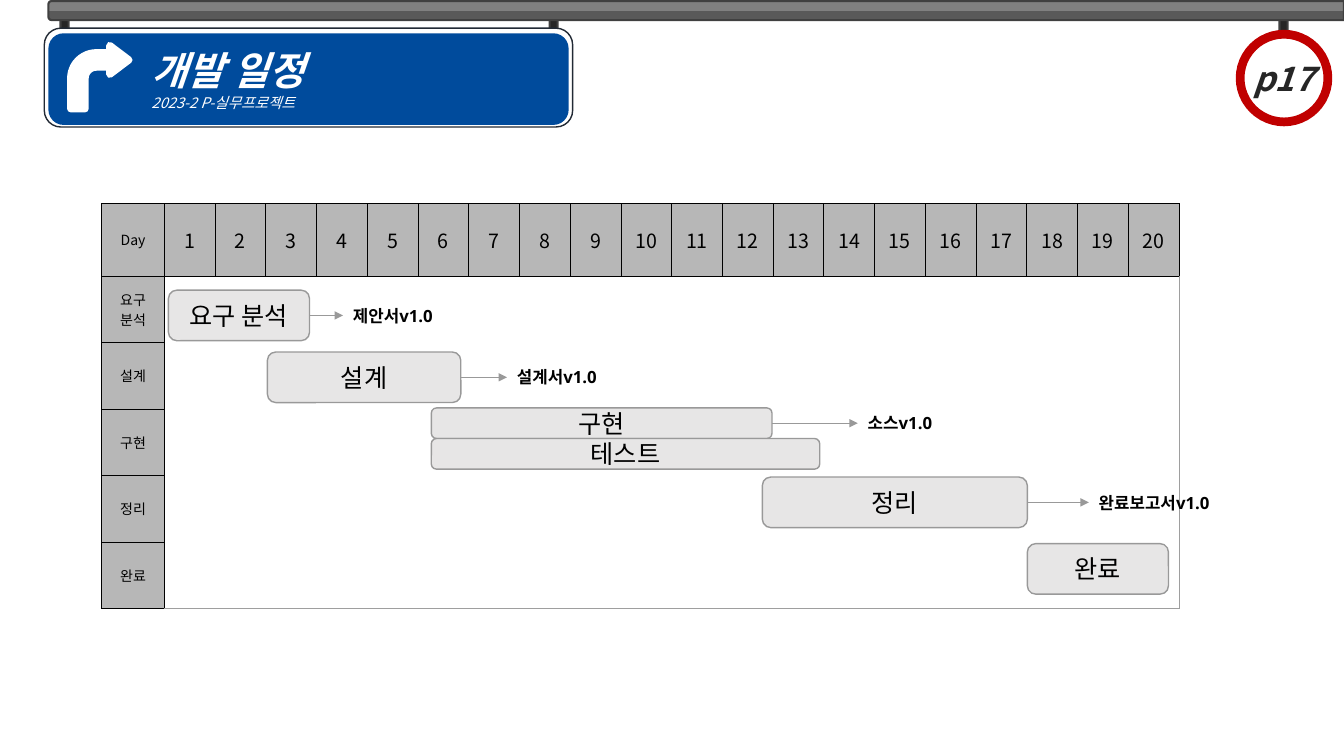
from dataclasses import dataclass

from lxml.etree import SubElement
from pptx import Presentation
from pptx.dml.color import RGBColor
from pptx.enum.shapes import MSO_CONNECTOR, MSO_SHAPE
from pptx.enum.text import MSO_ANCHOR, MSO_AUTO_SIZE, PP_ALIGN
from pptx.oxml.ns import qn
from pptx.util import Inches, Pt


@dataclass(frozen=True)
class Theme:
    font: str = "Noto Sans CJK KR"
    label_font: str = "Open Sans"
    white: str = "FFFFFF"
    black: str = "000000"
    dark: str = "262626"
    post_edge: str = "404040"
    rail_light: str = "808080"
    rail_dark: str = "595959"
    sign_edge: str = "222A35"
    sign_blue: str = "004B9C"
    badge_red: str = "C00000"
    head_fill: str = "B7B7B7"
    body_edge: str = "9E9E9E"
    bar_fill: str = "E7E6E6"
    bar_edge: str = "999999"
    title: float = 28
    badge: float = 24
    bar: float = 18
    day: float = 14
    label: float = 12
    subtitle: float = 10.5
    stub: float = 10


# Slide size and the schedule grid: one column per day, one row per phase
WIDTH, HEIGHT = 13.33, 7.5
LEFT, TOP = 1.01, 2.02
STUB_W, HEAD_H = 0.62, 0.72
DAYS, DAY_W, PHASE_H = 20, (10.69 - 0.62) / 20, 0.66
LABEL_H = 0.4

PHASES = ["요구\n분석", "설계", "구현", "정리", "완료"]

# Task, first column, first row, columns, rows, deliverable (text, gap, columns)
TASKS = [
    ("요구 분석", 0.08, 0.21, 2.78, 0.76, ("제안서v1.0", 0.66, 2.32)),
    ("구현", 5.26, 1.98, 6.71, 0.46, ("소스v1.0", 1.69, 2.32)),
    ("정리", 11.78, 3.02, 5.22, 0.76, ("완료보고서v1.0", 1.21, 2.8)),
    ("설계", 2.03, 1.14, 3.81, 0.76, ("설계서v1.0", 0.91, 2.32)),
    ("테스트", 5.26, 2.44, 7.65, 0.46, None),
    ("완료", 17, 4.02, 2.78, 0.76, None),
]


def share(x, y, w, h):
    """Box in percent of the slide, as inches."""
    return x * WIDTH / 100, y * HEIGHT / 100, w * WIDTH / 100, h * HEIGHT / 100


def grid(col, row, cols, rows):
    """Box in days and phases, as inches."""
    return (LEFT + STUB_W + col * DAY_W, TOP + HEAD_H + row * PHASE_H,
            cols * DAY_W, rows * PHASE_H)


class SlideBuilder:
    def __init__(self, slide, theme):
        self.slide, self.theme = slide, theme

    def set_text(self, frame, text, size, color, align=PP_ALIGN.CENTER,
                 font=None, **styles):
        """Fill a text frame; size is one value or one per paragraph."""
        frame.text = text
        for number, paragraph in enumerate(frame.paragraphs):
            paragraph.alignment = align
            points = size[number] if isinstance(size, tuple) else size
            run = paragraph.runs[0]
            formats = {"name": font or self.theme.font, "size": Pt(points), **styles}
            for key, value in formats.items():
                setattr(run.font, key, value)
            run.font.color.rgb = RGBColor.from_string(color)
            SubElement(run.font._element, qn("a:ea"), typeface=self.theme.font)

    def shape(self, kind, box, fill, edge=None, weight=1.0, adjust=()):
        shape = self.slide.shapes.add_shape(kind, *map(Inches, box))
        shape.shadow.inherit = False
        for number, value in enumerate(adjust):
            shape.adjustments[number] = value
        shape.fill.solid()
        shape.fill.fore_color.rgb = RGBColor.from_string(fill)
        if edge:
            shape.line.color.rgb = RGBColor.from_string(edge)
            shape.line.width = Pt(weight)
            SubElement(shape.line._ln, qn("a:round"))
        else:
            shape.line.fill.background()
        shape.text_frame.vertical_anchor = MSO_ANCHOR.MIDDLE
        return shape

    def rail(self, box):
        """Horizontal bar, drawn upright and turned so its round end is left."""
        x, y, w, h = box
        upright = (x + (w - h) / 2, y + (h - w) / 2, h, w)
        rail = self.shape(MSO_SHAPE.ROUND_2_SAME_RECTANGLE, upright,
                          self.theme.rail_dark, self.theme.post_edge, 1.5)
        rail.rotation = 270
        rail.fill.gradient()
        rail.fill.gradient_angle = 180
        for stop, color in zip(rail.fill.gradient_stops,
                               (self.theme.rail_light, self.theme.rail_dark)):
            stop.position = 0.5
            stop.color.rgb = RGBColor.from_string(color)

    def label(self, box, text):
        label = self.slide.shapes.add_textbox(*map(Inches, box))
        formats = {"word_wrap": True, "auto_size": MSO_AUTO_SIZE.SHAPE_TO_FIT_TEXT}
        formats |= {f"margin_{side}": Inches(0.1)
                    for side in ("left", "top", "right", "bottom")}
        for key, value in formats.items():
            setattr(label.text_frame, key, value)
        self.set_text(label.text_frame, text, self.theme.label, self.theme.black,
                      PP_ALIGN.LEFT, self.theme.label_font, bold=True)
        return label

    def arrow(self, source, target):
        arrow = self.slide.shapes.add_connector(MSO_CONNECTOR.STRAIGHT, 0, 0, 0, 0)
        arrow.begin_connect(source, 3)
        arrow.end_connect(target, 1)
        arrow.line.color.rgb = RGBColor.from_string(self.theme.bar_edge)
        arrow.line.width = Pt(0.5)
        SubElement(arrow.line._ln, qn("a:tailEnd"), type="triangle")
        SubElement(arrow._element.spPr, qn("a:effectLst"))

    def borders(self, cell, **colors):
        properties = cell._tc.get_or_add_tcPr()
        for number, side in enumerate(side for side in "LRTB" if side in colors):
            line = properties.makeelement(qn(f"a:ln{side}"), w=str(Pt(0.6)))
            fill = SubElement(line, qn("a:solidFill"))
            SubElement(fill, qn("a:srgbClr"), val=colors[side])
            properties.insert(number, line)

    def schedule(self):
        theme, phases = self.theme, len(PHASES)
        table = self.slide.shapes.add_table(
            phases + 1, DAYS + 1, Inches(LEFT), Inches(TOP),
            Inches(STUB_W + DAYS * DAY_W), Inches(HEAD_H + phases * PHASE_H)).table
        table.first_row = table.horz_banding = False
        for c, column in enumerate(table.columns):
            column.width = Inches(DAY_W if c else STUB_W)
        for r, row in enumerate(table.rows):
            row.height = Inches(PHASE_H if r else HEAD_H)
            for c, cell in enumerate(row.cells):
                if r and c:
                    self.body_cell(cell, r, c)
                    continue
                cell.fill.solid()
                cell.fill.fore_color.rgb = RGBColor.from_string(theme.head_fill)
                cell.vertical_anchor = MSO_ANCHOR.MIDDLE
                for side in ("left", "top", "right", "bottom"):
                    setattr(cell, f"margin_{side}", Inches(0.08))
                text = PHASES[r - 1] if r else str(c) if c else "Day"
                self.set_text(cell.text_frame, text, theme.day if c else theme.stub,
                              theme.black)
                self.borders(cell, **dict.fromkeys("LRTB", theme.black))
        table.cell(1, 1).merge(table.cell(phases, DAYS))

    def body_cell(self, cell, r, c):
        """Only the outer edges of the open area carry a line."""
        theme, first = self.theme, (r, c) == (1, 1)
        edges = {"L": (c == 1, theme.black), "T": (r == 1, theme.black),
                 "R": (first or c == DAYS, theme.body_edge),
                 "B": (first or r == len(PHASES), theme.body_edge)}
        cell.fill.background()
        self.borders(cell, **{side: color for side, (drawn, color) in edges.items()
                              if drawn})

    def task(self, name, col, row, cols, rows, deliverable):
        theme = self.theme
        bar = self.shape(MSO_SHAPE.FLOWCHART_ALTERNATE_PROCESS,
                         grid(col, row, cols, rows), theme.bar_fill, theme.bar_edge)
        self.set_text(bar.text_frame, name, theme.bar, theme.black)
        if deliverable:
            text, gap, span = deliverable
            x, middle, w, _ = grid(col + cols + gap, row + rows / 2, span, 0)
            self.arrow(bar, self.label((x, middle - LABEL_H / 2, w, LABEL_H), text))


def main():
    deck = Presentation()
    deck.slide_width, deck.slide_height = Inches(WIDTH), Inches(HEIGHT)
    theme = Theme()
    page = SlideBuilder(deck.slides.add_slide(deck.slide_layouts[6]), theme)

    # Posts and rail
    for x, rounding in ((95.2, 0.17), (40.89, 0.5), (4.5, 0.5)):
        page.shape(MSO_SHAPE.ROUNDED_RECTANGLE, share(x, 1.2, 0.6, 4.8),
                   theme.dark, theme.post_edge, 1.5, [rounding])
    page.rail(share(3.6, 0.13, 96.4, 2.53))

    # Road sign with the title
    page.shape(MSO_SHAPE.ROUNDED_RECTANGLE, share(3.3, 3.73, 39.31, 13.07),
               theme.white, theme.sign_edge)
    sign = page.shape(MSO_SHAPE.ROUNDED_RECTANGLE, share(3.6, 4.4, 38.71, 12.13),
                      theme.sign_blue)
    page.set_text(sign.text_frame, "개발 일정\n2023-2 P-실무프로젝트",
                  (theme.title, theme.subtitle), theme.white, PP_ALIGN.LEFT, italic=True)
    heading, subtitle = sign.text_frame.paragraphs
    heading.runs[0].font.bold = True
    for line in (heading, subtitle):
        line._p.get_or_add_pPr().set("marL", str(Inches(0.88)))
    page.shape(MSO_SHAPE.BENT_ARROW, share(5.25, 6, 4.35, 8.4), theme.white,
               theme.white, 5, [0.25, 0.25, 0.33, 0.44])

    # Page badge
    badge = page.shape(MSO_SHAPE.OVAL, share(92.27, 4.53, 6.53, 11.6),
                       theme.white, theme.badge_red, 6.25)
    badge.text_frame.word_wrap = False
    page.set_text(badge.text_frame, "p17", theme.badge, theme.dark,
                  bold=True, italic=True)

    # Schedule
    page.schedule()
    for task in TASKS:
        page.task(*task)

    deck.save("out.pptx")


if __name__ == "__main__":
    main()
